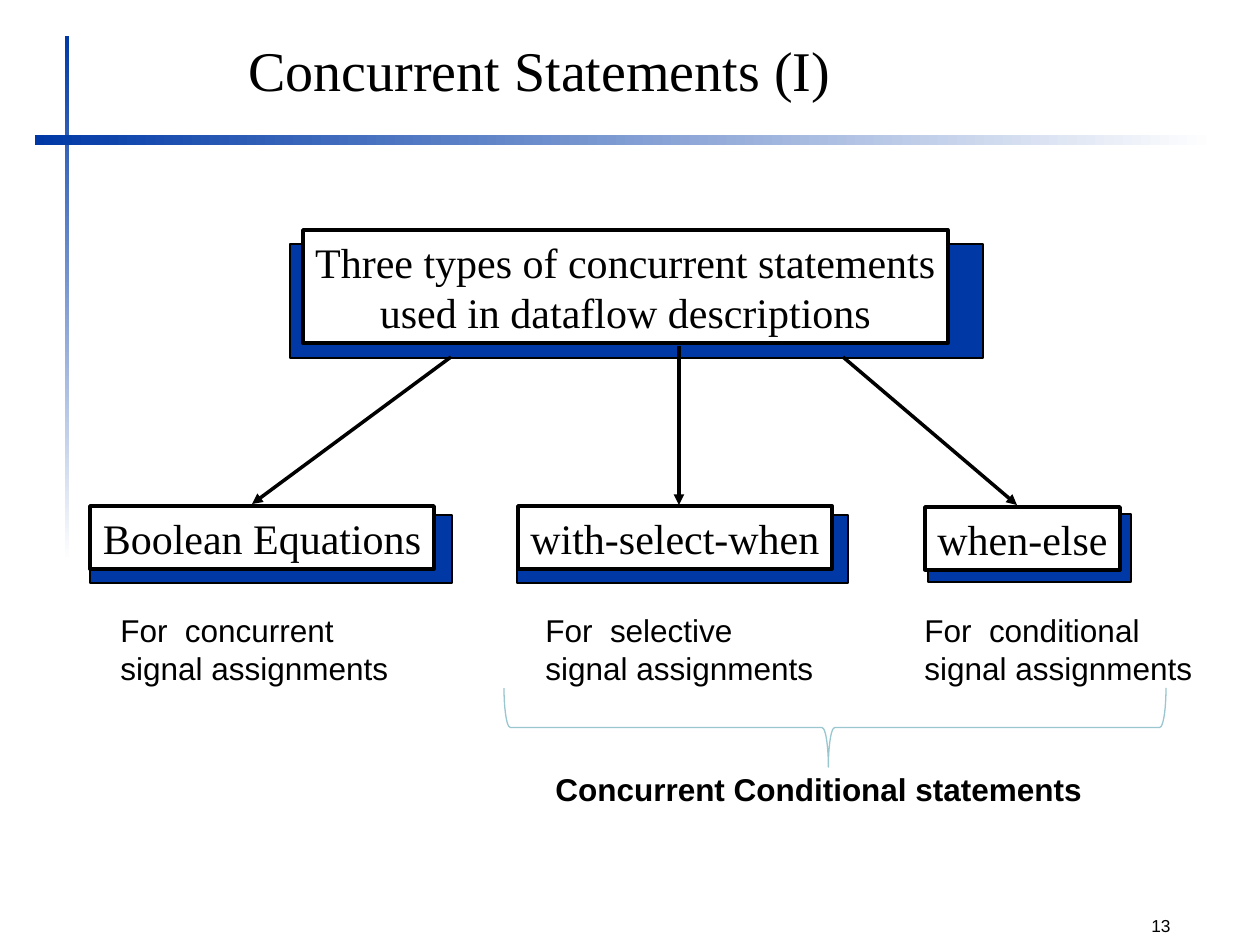
from lxml.etree import SubElement
from pptx import Presentation
from pptx.dml.color import RGBColor
from pptx.enum.shapes import MSO_CONNECTOR, MSO_SHAPE
from pptx.enum.text import MSO_ANCHOR, MSO_AUTO_SIZE, PP_ALIGN
from pptx.oxml.ns import qn
from pptx.util import Emu, Pt

EMU_PER_PX = 914400 / 126
SERIF = "Times New Roman"
SANS = "Arial"
BLACK = "000000"
WHITE = "FFFFFF"
BLUE = "0039A6"
TEAL = "9AC6D0"


def px(value):
    return Emu(round(value * EMU_PER_PX))


def color(value):
    return RGBColor.from_string(value)


def write(shape, lines, font, size, align=PP_ALIGN.LEFT, bold=False, wrap=False):
    frame = shape.text_frame
    frame.word_wrap = wrap
    frame.auto_size = MSO_AUTO_SIZE.NONE
    frame.vertical_anchor = MSO_ANCHOR.TOP
    frame.margin_left = frame.margin_right = Pt(7.2)
    frame.margin_top = frame.margin_bottom = Pt(3.6)
    for index, line in enumerate(lines):
        para = frame.paragraphs[0] if index == 0 else frame.add_paragraph()
        para.alignment = align
        span = para.add_run()
        span.text = line
        span.font.name = font
        span.font.size = Pt(size)
        span.font.bold = bold
        span.font.color.rgb = color(BLACK)


def add_title(page, text, left, top, width, height):
    title = page.shapes.title
    title.left, title.top = px(left), px(top)
    title.width, title.height = px(width), px(height)
    write(title, [text], SERIF, 32)


def add_label(shapes, lines, left, top, width, height, size=18, bold=False, wrap=False):
    label = shapes.add_textbox(px(left), px(top), px(width), px(height))
    write(label, lines, SANS, size, bold=bold, wrap=wrap)


def add_rectangle(shapes, left, top, width, height):
    box = shapes.add_shape(MSO_SHAPE.RECTANGLE, px(left), px(top), px(width), px(height))
    box.shadow.inherit = False
    return box


def add_fading_bar(page, left, top, width, height, angle):
    bar = add_rectangle(page.shapes, left, top, width, height)
    bar.line.fill.background()
    bar.fill.gradient()
    bar.fill.gradient_angle = angle
    for stop, shade, position in zip(bar.fill.gradient_stops, (BLUE, WHITE), (0, 1)):
        stop.color.rgb = color(shade)
        stop.position = position


def add_outlined_box(shapes, area, fill, line_width):
    box = add_rectangle(shapes, *area)
    box.fill.solid()
    box.fill.fore_color.rgb = color(fill)
    box.line.color.rgb = color(BLACK)
    box.line.width = Pt(line_width)
    return box


def add_backed_box(shapes, lines, front, back):
    add_outlined_box(shapes, back, BLUE, 1)
    box = add_outlined_box(shapes, front, WHITE, 2)
    write(box, lines, SERIF, 24, PP_ALIGN.CENTER)


def add_arrow(shapes, start_x, start_y, end_x, end_y):
    arrow = shapes.add_connector(
        MSO_CONNECTOR.STRAIGHT, px(start_x), px(start_y), px(end_x), px(end_y)
    )
    arrow.line.color.rgb = color(BLACK)
    arrow.line.width = Pt(2)
    properties = arrow._element.spPr
    SubElement(properties.find(qn("a:ln")), qn("a:tailEnd"), type="triangle")
    SubElement(properties, qn("a:effectLst"))


def add_brace_below(shapes, left, top, width, height):
    offset = (width - height) / 2
    brace = shapes.add_shape(
        MSO_SHAPE.LEFT_BRACE, px(left + offset), px(top - offset), px(height), px(width)
    )
    brace.rotation = 270
    brace.adjustments[0] = 0.08
    brace.adjustments[1] = 0.49
    brace.shadow.inherit = False
    brace.fill.background()
    brace.line.color.rgb = color(TEAL)
    brace.line.width = Pt(0.75)


def main():
    deck = Presentation()
    deck.slide_width, deck.slide_height = px(1260), px(945)
    page = deck.slides.add_slide(deck.slide_layouts[5])

    add_fading_bar(page, 65, 36, 4, 525, 270)
    add_fading_bar(page, 35, 135, 1180, 10, 0)
    add_title(page, "Concurrent Statements (I)", 236, 29, 630, 79)

    diagram = page.shapes.add_group_shape().shapes
    add_backed_box(
        diagram,
        ["Three types of concurrent statements", "used in dataflow descriptions"],
        (303, 230, 645, 113),
        (290, 244, 693, 114),
    )
    statements = [
        ("Boolean Equations", (90, 506, 344, 63), (90, 515, 362, 68)),
        ("with-select-when", (518, 506, 314, 63), (517, 515, 331, 68)),
        ("when-else", (925, 507, 195, 63), (928, 514, 203, 68)),
    ]
    for name, front, back in statements:
        add_backed_box(diagram, [name], front, back)
    for ends in [(451, 357, 252, 504), (679, 346, 679, 505), (843, 357, 1017, 505)]:
        add_arrow(diagram, *ends)

    for left, purpose in [(108, "concurrent"), (533, "selective"), (912, "conditional")]:
        add_label(
            page.shapes, [f"For  {purpose}", "signal assignments"], left, 605, 292, 88
        )

    summary = page.shapes.add_group_shape().shapes
    add_brace_below(summary, 504, 688, 662, 79)
    add_label(summary, ["Concurrent Conditional statements"], 543, 764, 561, 50, bold=True)

    add_label(page.shapes, ["13"], 1139, 909, 121, 35, size=9.9, wrap=True)
    deck.save("out.pptx")


if __name__ == "__main__":
    main()
